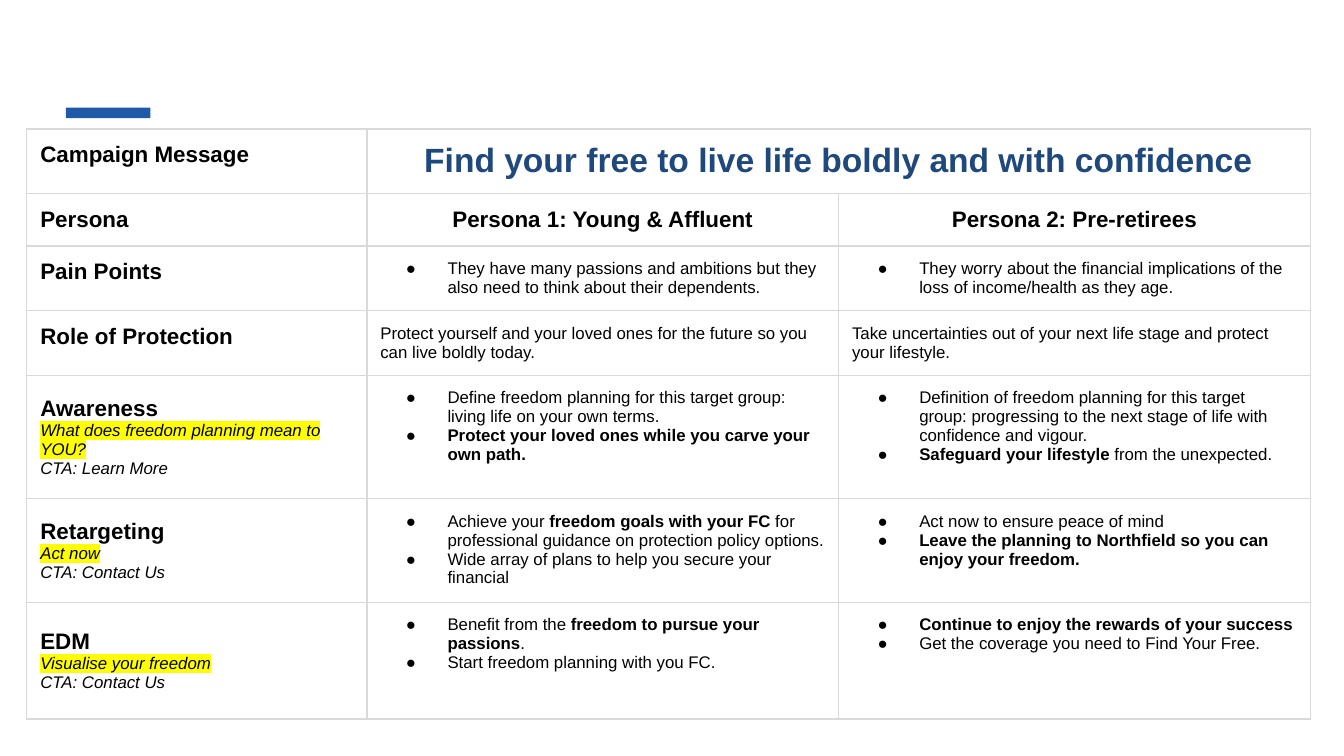
"""Builds the campaign message table slide for two personas."""
from dataclasses import dataclass

import pptx
import pptx.dml.color
import pptx.enum.shapes
import pptx.enum.text
import pptx.oxml
import pptx.oxml.ns
import pptx.util
from pptx.util import Inches


@dataclass(frozen=True)
class Theme:
    font: str = "Arial"
    text: str = "000000"
    accent: str = "1E5AA8"
    headline: str = "1F497D"
    highlight: str = "FFFF00"
    border: str = "D9D9D9"
    headline_size: int = 18
    heading_size: int = 12
    body_size: int = 9
    border_width: float = 0.75


THEME = Theme()
COLUMN_WIDTHS = (2.53, 3.51, 3.51)
ROW_HEIGHTS = (0.48, 0.39, 0.48, 0.48, 0.92, 0.77, 0.87)
HEADLINE = "Find your free to live life boldly and with confidence"
PERSONAS = ("Persona 1: Young & Affluent", "Persona 2: Pre-retirees")
ROLES = (
    "Protect yourself and your loved ones for the future so you can live boldly today.",
    "Take uncertainties out of your next life stage and protect your lifestyle.",
)
PAIN_POINTS = (
    ["They have many passions and ambitions but they also need to think about their dependents."],
    ["They worry about the financial implications of the loss of income/health as they age."],
)
STAGES = (
    (
        ("Awareness", "What does freedom planning mean to YOU?", "CTA: Learn More"),
        ["Define freedom planning for this target group: living life on your own terms.",
         "**Protect your loved ones while you carve your own path.**"],
        ["Definition of freedom planning for this target group: progressing to the next "
         "stage of life with confidence and vigour.",
         "**Safeguard your lifestyle** from the unexpected."],
    ),
    (
        ("Retargeting", "Act now", "CTA: Contact Us"),
        ["Achieve your **freedom goals with your FC** for professional guidance on "
         "protection policy options.",
         "Wide array of plans to help you secure your financial"],
        ["Act now to ensure peace of mind",
         "**Leave the planning to Northfield so you can enjoy your freedom.**"],
    ),
    (
        ("EDM", "Visualise your freedom", "CTA: Contact Us"),
        ["Benefit from the **freedom to pursue your passions**.",
         "Start freedom planning with you FC."],
        ["**Continue to enjoy the rewards of your success**",
         "Get the coverage you need to Find Your Free."],
    ),
)


def rgb(color):
    """Return a colour object for a hex string."""
    return pptx.dml.color.RGBColor.from_string(color)


def element(xml):
    """Parse a fragment of DrawingML."""
    return pptx.oxml.parse_xml(xml.replace(" ", f" {pptx.oxml.ns.nsdecls('a')} ", 1))


def format_run(run, size, color=THEME.text, bold=False, italic=False):
    """Set the typeface, size, colour and style of a run."""
    run.font.name = THEME.font
    run.font.size = pptx.util.Pt(size)
    run.font.color.rgb = rgb(color)
    run.font.bold = bold
    run.font.italic = italic


def highlight_run(run):
    """Put the marker colour behind a run."""
    properties = run.font._element
    fill = properties.find(pptx.oxml.ns.qn("a:solidFill"))
    fill.addnext(element(f'<a:highlight ><a:srgbClr val="{THEME.highlight}"/></a:highlight>'))


def add_bullet(paragraph):
    """Give a paragraph a round bullet and a hanging indent."""
    properties = paragraph._p.get_or_add_pPr()
    properties.set("marL", str(Inches(0.5)))
    properties.set("indent", str(Inches(-0.31)))
    properties.append(element(f'<a:buClr ><a:srgbClr val="{THEME.text}"/></a:buClr>'))
    properties.append(element(f'<a:buFont typeface="{THEME.font}"/>'))
    properties.append(element('<a:buChar char="●"/>'))


def style_cell(cell):
    """Set the margins, borders and empty fill of a cell."""
    cell.margin_left = cell.margin_right = Inches(0.1)
    cell.margin_top = cell.margin_bottom = Inches(0.1)
    width = pptx.util.Pt(THEME.border_width)
    for side in ("lnL", "lnR", "lnT", "lnB"):
        cell._tc.get_or_add_tcPr().append(element(
            f'<a:{side} w="{width}"><a:solidFill><a:srgbClr val="{THEME.border}"/>'
            f'</a:solidFill></a:{side}>'))
    cell.fill.background()


def write_line(cell, text, size, color=THEME.text, bold=True, centered=False):
    """Write a single paragraph into a cell."""
    cell.text_frame.text = text
    paragraph = cell.text_frame.paragraphs[0]
    format_run(paragraph.runs[0], size, color, bold)
    if centered:
        paragraph.alignment = pptx.enum.text.PP_ALIGN.CENTER
        cell.vertical_anchor = pptx.enum.text.MSO_ANCHOR.MIDDLE


def write_bullets(cell, items):
    """Write bulleted paragraphs, with bold between double asterisks."""
    cell.text_frame.text = "\n".join("" for item in items)
    for paragraph, item in zip(cell.text_frame.paragraphs, items):
        add_bullet(paragraph)
        for index, text in enumerate(item.split("**")):
            if text:
                run = paragraph.add_run()
                run.text = text
                format_run(run, THEME.body_size, bold=index % 2 == 1)


def write_stage(cell, lines):
    """Write a stage name, its highlighted message and its call to action."""
    cell.text_frame.text = "\n".join(lines)
    cell.vertical_anchor = pptx.enum.text.MSO_ANCHOR.MIDDLE
    name, message, action = [paragraph.runs[0] for paragraph in cell.text_frame.paragraphs]
    format_run(name, THEME.heading_size, bold=True)
    format_run(message, THEME.body_size, italic=True)
    highlight_run(message)
    format_run(action, THEME.body_size, italic=True)


def add_accent_bar(slide):
    """Draw the short bar above the table."""
    shape = slide.shapes.add_shape(
        pptx.enum.shapes.MSO_SHAPE.RECTANGLE,
        Inches(0.49), Inches(0.8), Inches(0.63), Inches(0.08))
    shape.shadow.inherit = False
    shape.fill.solid()
    shape.fill.fore_color.rgb = rgb(THEME.accent)
    shape.line.fill.background()


def add_grid(slide):
    """Add the empty campaign table and return it."""
    table = slide.shapes.add_table(
        len(ROW_HEIGHTS), len(COLUMN_WIDTHS), Inches(0.2), Inches(0.96),
        Inches(sum(COLUMN_WIDTHS)), Inches(sum(ROW_HEIGHTS))).table
    table.first_row = table.horz_banding = False
    for column, width in zip(table.columns, COLUMN_WIDTHS):
        column.width = Inches(width)
    for row, height in zip(table.rows, ROW_HEIGHTS):
        row.height = Inches(height)
    for cell in table.iter_cells():
        style_cell(cell)
    table.cell(0, 1).merge(table.cell(0, 2))
    return table


def fill_table(table):
    """Write the campaign content into the table."""
    headings = ("Campaign Message", "Persona", "Pain Points", "Role of Protection")
    for row, heading in enumerate(headings):
        write_line(table.cell(row, 0), heading, THEME.heading_size)
    write_line(table.cell(0, 1), HEADLINE, THEME.headline_size, THEME.headline, centered=True)
    for column in (1, 2):
        write_line(table.cell(1, column), PERSONAS[column - 1], THEME.heading_size, centered=True)
        write_bullets(table.cell(2, column), PAIN_POINTS[column - 1])
        write_line(table.cell(3, column), ROLES[column - 1], THEME.body_size, bold=False)
    for row, (lines, *messages) in enumerate(STAGES, start=len(headings)):
        write_stage(table.cell(row, 0), lines)
        for column, items in enumerate(messages, start=1):
            write_bullets(table.cell(row, column), items)


def main():
    """Build and save the slide."""
    presentation = pptx.Presentation()
    presentation.slide_width = Inches(10)
    presentation.slide_height = Inches(10) * 9 // 16
    slide = presentation.slides.add_slide(presentation.slide_layouts[6])
    add_accent_bar(slide)
    fill_table(add_grid(slide))
    presentation.save("out.pptx")


if __name__ == "__main__":
    main()
